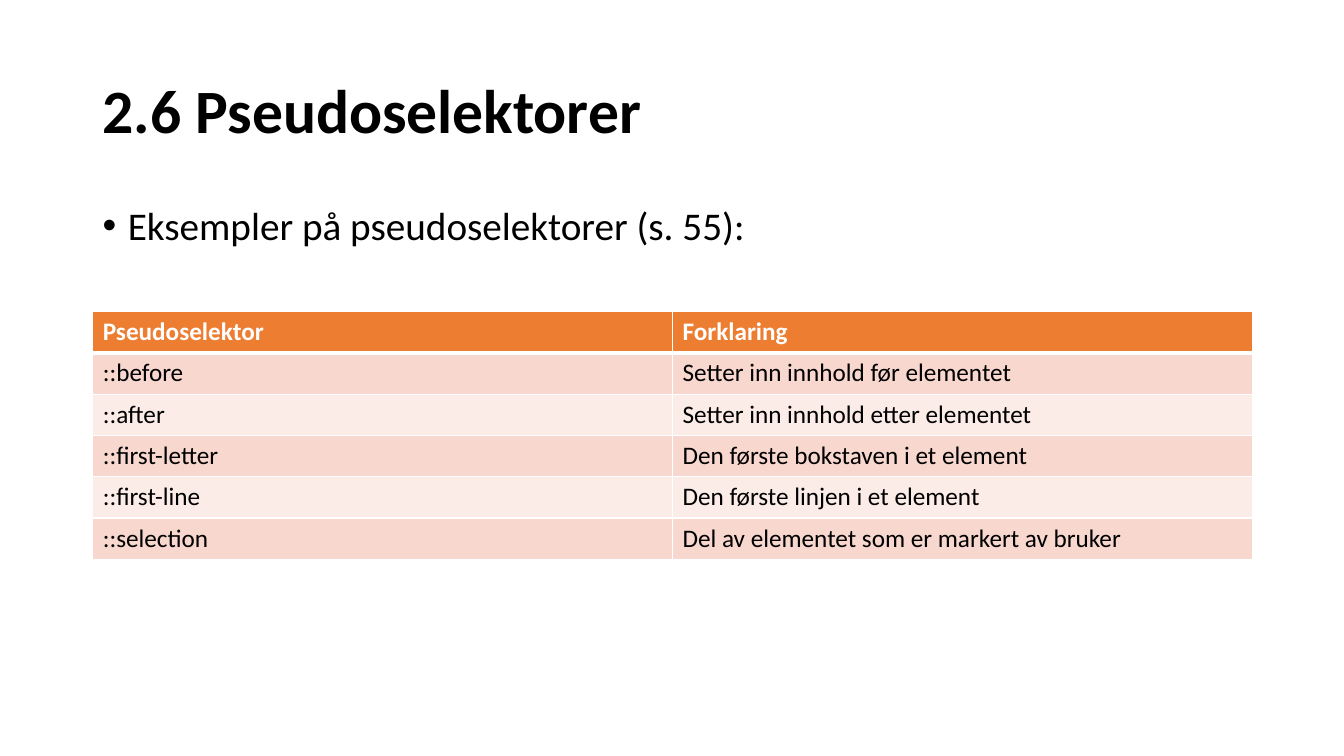
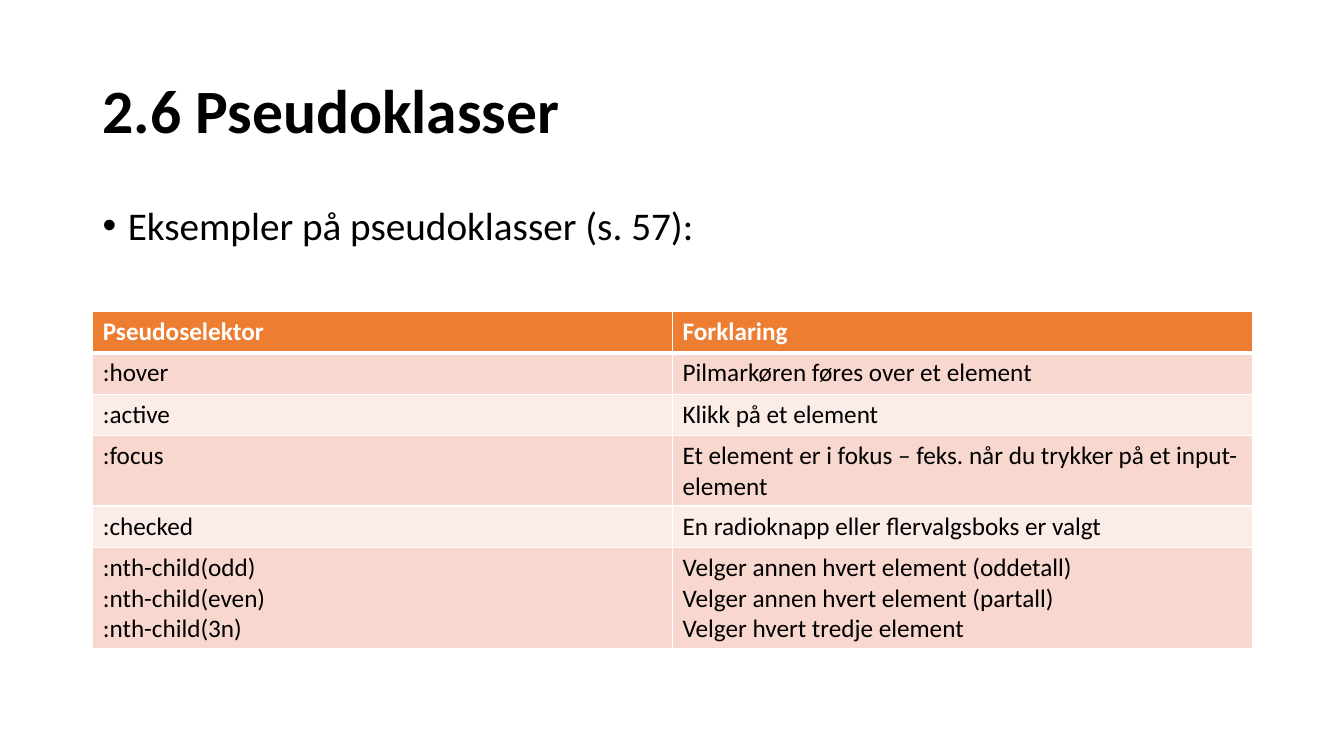
"""Build two slides on CSS pseudo-selectors and pseudo-classes."""
from lxml import etree
from pptx import Presentation
from pptx import util as u
from pptx.dml.color import RGBColor
from pptx.enum import text
from pptx.oxml.ns import qn

HEAD = ("Pseudoselektor", "Forklaring")
PAGES = [
    {
        "title": "2.6 Pseudoselektorer",
        "lead": "Eksempler på pseudoselektorer (s. 55):",
        "rows": [
            ("::before", "Setter inn innhold før elementet"),
            ("::after", "Setter inn innhold etter elementet"),
            ("::first-letter", "Den første bokstaven i et element"),
            ("::first-line", "Den første linjen i et element"),
            ("::selection", "Del av elementet som er markert av bruker"),
        ],
    },
    {
        "title": "2.6 Pseudoklasser",
        "lead": "Eksempler på pseudoklasser (s. 57):",
        "rows": [
            (":hover", "Pilmarkøren føres over et element"),
            (":active", "Klikk på et element"),
            (":focus", "Et element er i fokus – feks. når du trykker på et input-element"),
            (":checked", "En radioknapp eller flervalgsboks er valgt"),
            (
                ":nth-child(odd)\n:nth-child(even)\n:nth-child(3n)",
                "Velger annen hvert element (oddetall)\n"
                "Velger annen hvert element (partall)\n"
                "Velger hvert tredje element",
            ),
        ],
    },
]

THEME = {
    "font": "Calibri",
    "ink": "000000",
    "paper": "FFFFFF",
    "head": "ED7D31",
    "bands": ("F8D7CE", "FCECE8"),
    "title": {"size": u.Pt(44), "bold": True},
    "lead": {"size": u.Pt(28), "bold": False},
    "cell": {"size": u.Pt(18)},
    "rule": 1,
    "thick": 3,
}
WIDE, HIGH = 13.33, 7.5
EDGE = 0.92
SPAN = 11.5
ROW = 0.41
TITLE = (EDGE, 0.4, SPAN, 1.45)
LEAD = (EDGE, 2, SPAN, 4.76)
GRID = (EDGE, 3.09, SPAN)


def style(para, look, ink=THEME["ink"]):
    font = para.font
    for key, val in {"name": THEME["font"], **look}.items():
        setattr(font, key, val)
    font.color.rgb = RGBColor.from_string(ink)


def write(slide, words, place, look, anchor, bullet=False):
    frame = slide.shapes.add_textbox(*map(u.Inches, place)).text_frame
    frame.word_wrap = True
    frame.vertical_anchor = anchor
    para = frame.paragraphs[0]
    para.text = words
    para.line_spacing = 0.9
    if bullet:
        props = para._p.get_or_add_pPr()
        props.set("marL", str(u.Inches(0.25)))
        props.set("indent", str(-u.Inches(0.25)))
        etree.SubElement(props, qn("a:buFont"), typeface="Arial")
        etree.SubElement(props, qn("a:buChar"), char="•")
    style(para, look)


def border(cell, widths):
    props = cell._tc.get_or_add_tcPr()
    for side, width in widths.items():
        line = etree.SubElement(props, qn(f"a:ln{side}"), w=str(u.Pt(width)))
        fill = etree.SubElement(line, qn("a:solidFill"))
        etree.SubElement(fill, qn("a:srgbClr"), val=THEME["paper"])


def tabulate(slide, rows):
    size = (*GRID, ROW * len(rows))
    table = slide.shapes.add_table(len(rows), len(HEAD), *map(u.Inches, size)).table
    table.horz_banding = False
    for r, row in enumerate(rows):
        top = r == 0
        fill = THEME["head"] if top else THEME["bands"][(r - 1) % 2]
        ink = THEME["paper"] if top else THEME["ink"]
        widths = dict.fromkeys("LRTB", THEME["rule"])
        if r < 2:
            widths["B" if top else "T"] = THEME["thick"]
        for c, words in enumerate(row):
            cell = table.cell(r, c)
            border(cell, widths)
            cell.fill.solid()
            cell.fill.fore_color.rgb = RGBColor.from_string(fill)
            cell.text = words
            for para in cell.text_frame.paragraphs:
                style(para, {**THEME["cell"], "bold": top}, ink)


def main():
    deck = Presentation()
    deck.slide_width, deck.slide_height = u.Inches(WIDE), u.Inches(HIGH)
    for page in PAGES:
        slide = deck.slides.add_slide(deck.slide_layouts[6])
        write(slide, page["title"], TITLE, THEME["title"], text.MSO_ANCHOR.MIDDLE)
        tabulate(slide, [HEAD, *page["rows"]])
        write(slide, page["lead"], LEAD, THEME["lead"], text.MSO_ANCHOR.TOP, True)
    deck.save("out.pptx")


if __name__ == "__main__":
    main()
